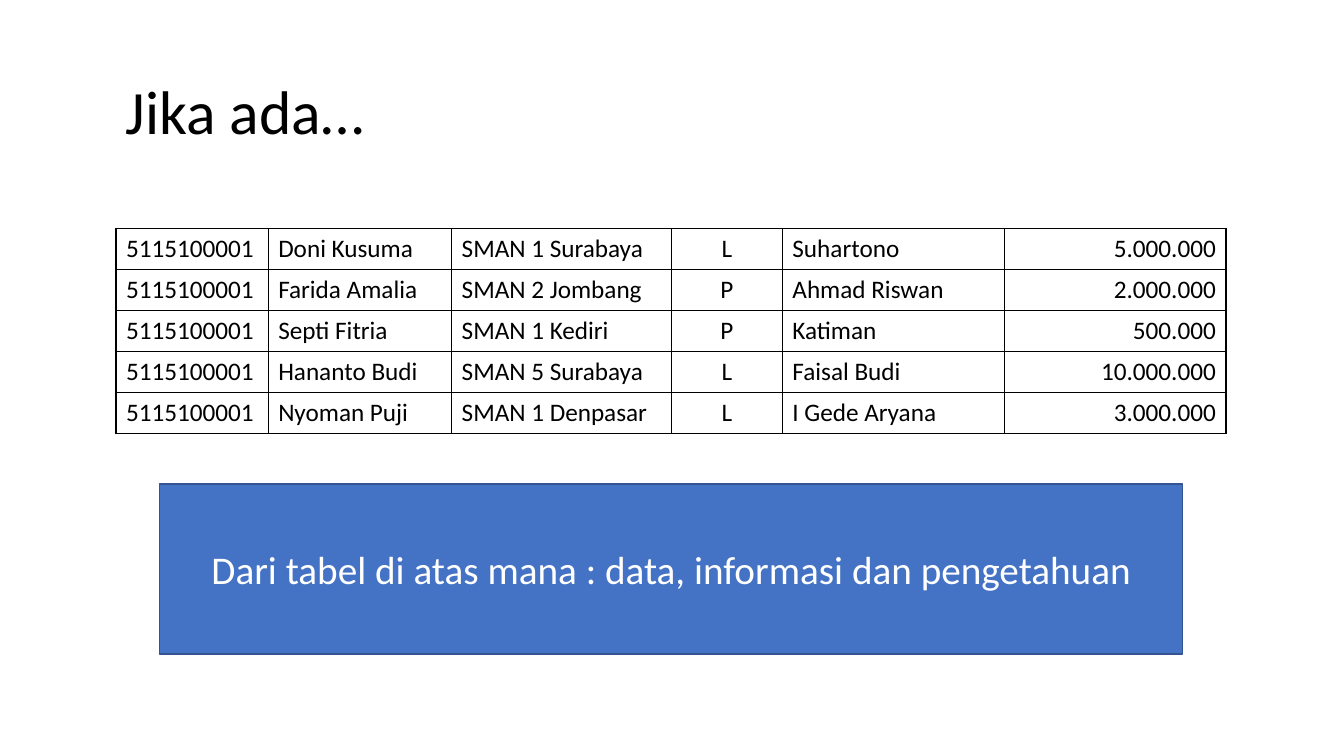
from lxml.etree import SubElement
from pptx import Presentation
from pptx.dml.color import RGBColor
from pptx.enum.shapes import MSO_SHAPE
from pptx.enum.text import MSO_ANCHOR, PP_ALIGN
from pptx.oxml.ns import qn
from pptx.util import Inches, Pt

STUDENTS = [
    ("5115100001", "Doni Kusuma", "SMAN 1 Surabaya", "L", "Suhartono", "5.000.000"),
    ("5115100001", "Farida Amalia", "SMAN 2 Jombang", "P", "Ahmad Riswan", "2.000.000"),
    ("5115100001", "Septi Fitria", "SMAN 1 Kediri", "P", "Katiman", "500.000"),
    ("5115100001", "Hananto Budi", "SMAN 5 Surabaya", "L", "Faisal Budi", "10.000.000"),
    ("5115100001", "Nyoman Puji", "SMAN 1 Denpasar", "L", "I Gede Aryana", "3.000.000"),
]
COLUMN_WIDTHS = [1.51, 1.82, 2.18, 1.1, 2.2, 2.2]
COLUMN_ALIGNS = [PP_ALIGN.LEFT] * 3 + [PP_ALIGN.CENTER, PP_ALIGN.LEFT, PP_ALIGN.RIGHT]


def rgb(hex_color):
    return RGBColor.from_string(hex_color)


def write(frame, text, *, size, font, color, align=PP_ALIGN.LEFT, spacing=None):
    paragraph = frame.paragraphs[0]
    paragraph.alignment = align
    paragraph.line_spacing = spacing
    run = paragraph.add_run()
    run.text = text
    run.font.size = Pt(size)
    run.font.name = font
    run.font.color.rgb = rgb(color)


def add_borders(cell, color, width):
    properties = cell._tc.get_or_add_tcPr()
    for side in ("lnL", "lnR", "lnT", "lnB"):
        border = SubElement(properties, qn(f"a:{side}"), w=str(Pt(width)))
        fill = SubElement(border, qn("a:solidFill"))
        SubElement(fill, qn("a:srgbClr"), val=color)


class SlideBuilder:
    font = "Calibri"
    ink = "000000"
    panel_fill = "4472C4"
    panel_line = "325491"
    panel_ink = "FFFFFF"

    def __init__(self, slide):
        self.slide = slide

    def title(self, text, left, top, width, height):
        box = self.slide.shapes.add_textbox(*map(Inches, (left, top, width, height)))
        frame = box.text_frame
        frame.word_wrap = True
        frame.vertical_anchor = MSO_ANCHOR.MIDDLE
        write(frame, text, size=44, font=self.font, color=self.ink, spacing=0.9)

    def table(self, rows, widths, aligns, left, top, height):
        table = self.slide.shapes.add_table(
            len(rows), len(widths), Inches(left), Inches(top),
            Inches(sum(widths)), Inches(height)).table
        table.first_row = table.horz_banding = False
        for column, width in zip(table.columns, widths):
            column.width = Inches(width)
        for row, values in zip(table.rows, rows):
            for cell, value, align in zip(row.cells, values, aligns):
                add_borders(cell, self.ink, 1)
                cell.fill.background()
                write(cell.text_frame, value, size=18, font=self.font,
                      color=self.ink, align=align)

    def panel(self, text, left, top, width, height):
        panel = self.slide.shapes.add_shape(
            MSO_SHAPE.RECTANGLE, *map(Inches, (left, top, width, height)))
        panel.shadow.inherit = False
        panel.fill.solid()
        panel.fill.fore_color.rgb = rgb(self.panel_fill)
        panel.line.color.rgb = rgb(self.panel_line)
        panel.line.width = Pt(1)
        frame = panel.text_frame
        frame.word_wrap = True
        frame.vertical_anchor = MSO_ANCHOR.MIDDLE
        write(frame, text, size=28, font=self.font, color=self.panel_ink,
              align=PP_ALIGN.CENTER)


def main():
    presentation = Presentation()
    presentation.slide_width = Inches(13.33)
    presentation.slide_height = Inches(7.5)
    builder = SlideBuilder(presentation.slides.add_slide(presentation.slide_layouts[6]))
    builder.title("Jika ada…", 1.15, 0.34, 11, 1.59)
    builder.table(STUDENTS, COLUMN_WIDTHS, COLUMN_ALIGNS, 1.15, 2.27, 2.03)
    builder.panel("Dari tabel di atas mana : data, informasi dan pengetahuan",
                  1.58, 4.8, 10.15, 1.69)
    presentation.save("out.pptx")


if __name__ == "__main__":
    main()
